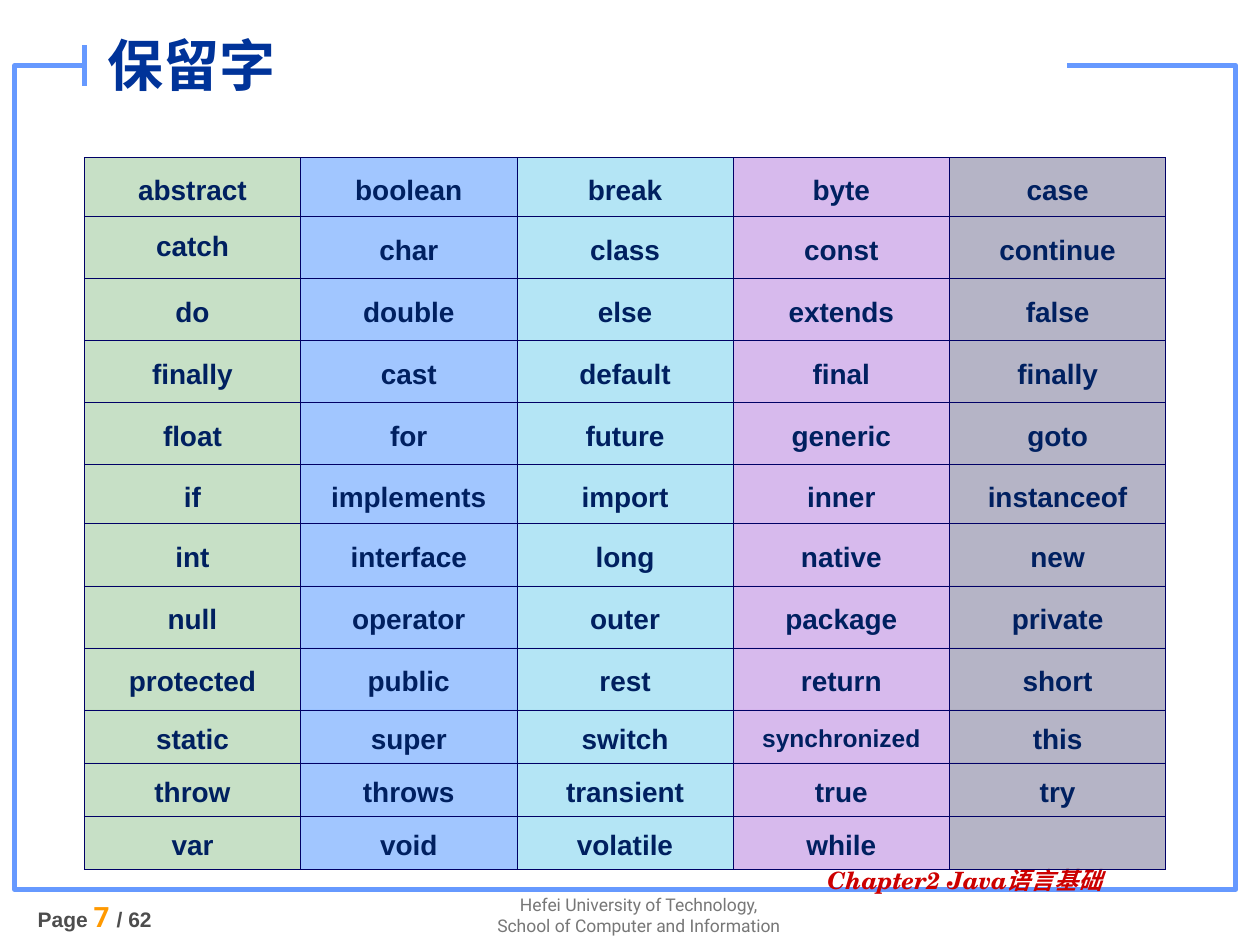
from dataclasses import dataclass

from lxml.etree import SubElement
from pptx import Presentation
from pptx.dml.color import RGBColor
from pptx.enum.shapes import MSO_CONNECTOR, MSO_SHAPE
from pptx.enum.text import MSO_ANCHOR, MSO_AUTO_SIZE, PP_ALIGN
from pptx.oxml.ns import qn
from pptx.util import Cm, Pt


@dataclass(frozen=True)
class Theme:
    """Colours, fonts and type sizes of the slide."""
    background: str = "FFFFFF"
    frame: str = "6699FF"
    title: str = "003399"
    keyword: str = "002060"
    border: str = "000066"
    chapter: str = "CC0000"
    institution: str = "777777"
    page: str = "4D4D4D"
    page_number: str = "FF9900"
    columns: tuple = (("58A252", 33), ("0066FF", 37), ("35BBE5", 37), ("872ECA", 33), ("211E54", 33))
    sans: str = "Arial"
    footer_sans: str = "Roboto"
    serif: str = "TeX Gyre Schola"
    title_size: float = 32
    keyword_size: float = 16
    long_keyword_size: float = 14
    chapter_size: float = 13.6
    institution_size: float = 10
    page_size: float = 12
    page_number_size: float = 16
    frame_width: float = 3
    border_width: float = 0.45


@dataclass(frozen=True)
class Box:
    """A rectangle in centimetres."""
    left: float
    top: float
    width: float
    height: float

    def inside(self, left, top, width, height):
        """Return a box offset from this one."""
        return Box(self.left + left, self.top + top, width, height)

    def lengths(self):
        """Return left, top, width and height as lengths."""
        return Cm(self.left), Cm(self.top), Cm(self.width), Cm(self.height)


THEME = Theme()
LONG_KEYWORD = 12
ROW_HEIGHTS = [1.19] + [1.25] * 4 + [1.19] + [1.25] * 3 + [1.07] * 3
KEYWORDS = [
    "abstract boolean break byte case",
    "catch char class const continue",
    "do double else extends false",
    "finally cast default final finally",
    "float for future generic goto",
    "if implements import inner instanceof",
    "int interface long native new",
    "null operator outer package private",
    "protected public rest return short",
    "static super switch synchronized this",
    "throw throws transient true try",
    "var void volatile while",
]


def style_font(font, name, size, color, bold=False, italic=False):
    """Set typeface, size, colour and weight."""
    font.name, font.size = name, Pt(size)
    font.bold, font.italic = bold, italic
    font.color.rgb = RGBColor.from_string(color)


def add_text_frame(slide, box):
    """Add a wrapping text box and return its text frame."""
    text_frame = slide.shapes.add_textbox(*box.lengths()).text_frame
    text_frame.word_wrap = True
    return text_frame


def add_frame(slide, box):
    """Draw the border, the gap for the title and the tick beside it."""
    border = slide.shapes.add_shape(MSO_SHAPE.RECTANGLE, *box.lengths())
    border.shadow.inherit = False
    border.fill.background()
    border.line.color.rgb = RGBColor.from_string(THEME.frame)
    border.line.width = Pt(THEME.frame_width)

    gap = slide.shapes.add_shape(MSO_SHAPE.RECTANGLE, *box.inside(1.4, -0.61, 19.81, 0.89).lengths())
    gap.shadow.inherit = False
    gap.fill.solid()
    gap.fill.fore_color.rgb = RGBColor.from_string(THEME.background)
    gap.line.fill.background()

    tick_left = Cm(box.left + 1.4)
    tick = slide.shapes.add_connector(
        MSO_CONNECTOR.STRAIGHT, tick_left, Cm(box.top - 0.41), tick_left, Cm(box.top + 0.41))
    tick.line.color.rgb = RGBColor.from_string(THEME.frame)
    tick.line.width = Pt(THEME.frame_width)
    SubElement(tick.element.spPr, qn("a:effectLst"))


def add_footer(slide, box):
    """Write the institution, the page count and the chapter name."""
    institution = add_text_frame(slide, box.inside(9.14, 0.5, 6.45, 1.15))
    institution.text = "Hefei University of Technology,\nSchool of Computer and Information"
    for paragraph in institution.paragraphs:
        paragraph.alignment = PP_ALIGN.CENTER
        style_font(paragraph.font, THEME.footer_sans, THEME.institution_size, THEME.institution)

    page = add_text_frame(slide, box.inside(0, 0.6, 4.6, 1.02)).paragraphs[0]
    label = (THEME.sans, THEME.page_size, THEME.page)
    number = (THEME.footer_sans, THEME.page_number_size, THEME.page_number)
    for text, style in (("Page ", label), ("7 ", number), ("/ 62", label)):
        run = page.add_run()
        run.text = text
        style_font(run.font, *style, bold=True)

    chapter = add_text_frame(slide, box.inside(15.92, 0, 7.8, 0.89)).paragraphs[0]
    chapter.text = "Chapter2 Java语言基础"
    chapter.line_spacing = 0.9
    style_font(chapter.font, THEME.serif, THEME.chapter_size, THEME.chapter, bold=True, italic=True)


def place_title(slide, box):
    """Fill the title placeholder and bring it in front of the frame."""
    title = slide.shapes.title
    title.left, title.top, title.width, title.height = box.lengths()
    title.text_frame.text = "保留字"
    title.text_frame.auto_size = MSO_AUTO_SIZE.NONE
    title.text_frame.vertical_anchor = MSO_ANCHOR.MIDDLE
    paragraph = title.text_frame.paragraphs[0]
    paragraph.alignment = PP_ALIGN.LEFT
    style_font(paragraph.font, THEME.sans, THEME.title_size, THEME.title, bold=True)
    title.element.getparent().append(title.element)


def style_cell(cell, color, opacity):
    """Give a cell thin borders and a translucent fill."""
    properties = cell._tc.get_or_add_tcPr()
    for side in ("lnL", "lnR", "lnT", "lnB"):
        line = SubElement(properties, qn(f"a:{side}"), w=str(Pt(THEME.border_width)))
        line_fill = SubElement(line, qn("a:solidFill"))
        SubElement(line_fill, qn("a:srgbClr"), val=THEME.border)
    cell.fill.solid()
    cell.fill.fore_color.rgb = RGBColor.from_string(color)
    fill_color = properties.find(f"{qn('a:solidFill')}/{qn('a:srgbClr')}")
    SubElement(fill_color, qn("a:alpha"), val=str(opacity * 1000))


def write_keyword(cell, keyword):
    """Write one centred keyword, smaller when it is long."""
    cell.vertical_anchor = MSO_ANCHOR.MIDDLE
    paragraph = cell.text_frame.paragraphs[0]
    paragraph.text = keyword
    paragraph.alignment = PP_ALIGN.CENTER
    paragraph.line_spacing = 0.9 if keyword == "catch" else 1.2
    size = THEME.long_keyword_size if len(keyword) >= LONG_KEYWORD else THEME.keyword_size
    style_font(paragraph.font, THEME.sans, size, THEME.keyword, bold=True)


def add_keyword_table(slide, box):
    """Lay out the reserved words in equal coloured columns."""
    column_count = len(THEME.columns)
    table = slide.shapes.add_table(len(KEYWORDS), column_count, *box.lengths()).table
    table.first_row = table.horz_banding = False
    for column in table.columns:
        column.width = Cm(box.width / column_count)
    for row, height, line in zip(table.rows, ROW_HEIGHTS, KEYWORDS):
        row.height = Cm(height)
        for cell, (color, opacity) in zip(row.cells, THEME.columns):
            style_cell(cell, color, opacity)
        for cell, keyword in zip(row.cells, line.split()):
            write_keyword(cell, keyword)


def main():
    """Build and save the reserved words slide."""
    presentation = Presentation()
    presentation.slide_width, presentation.slide_height = Cm(25.4), Cm(19.05)
    slide = presentation.slides.add_slide(presentation.slide_layouts[5])
    add_frame(slide, Box(0.3, 1.32, 24.61, 16.61))
    add_footer(slide, Box(0.51, 17.4, 24, 1.65))
    place_title(slide, Box(1.91, 0.28, 17.2, 2.03))
    add_keyword_table(slide, Box(1.7, 3.18, 21.8, sum(ROW_HEIGHTS)))
    presentation.save("out.pptx")


if __name__ == "__main__":
    main()
